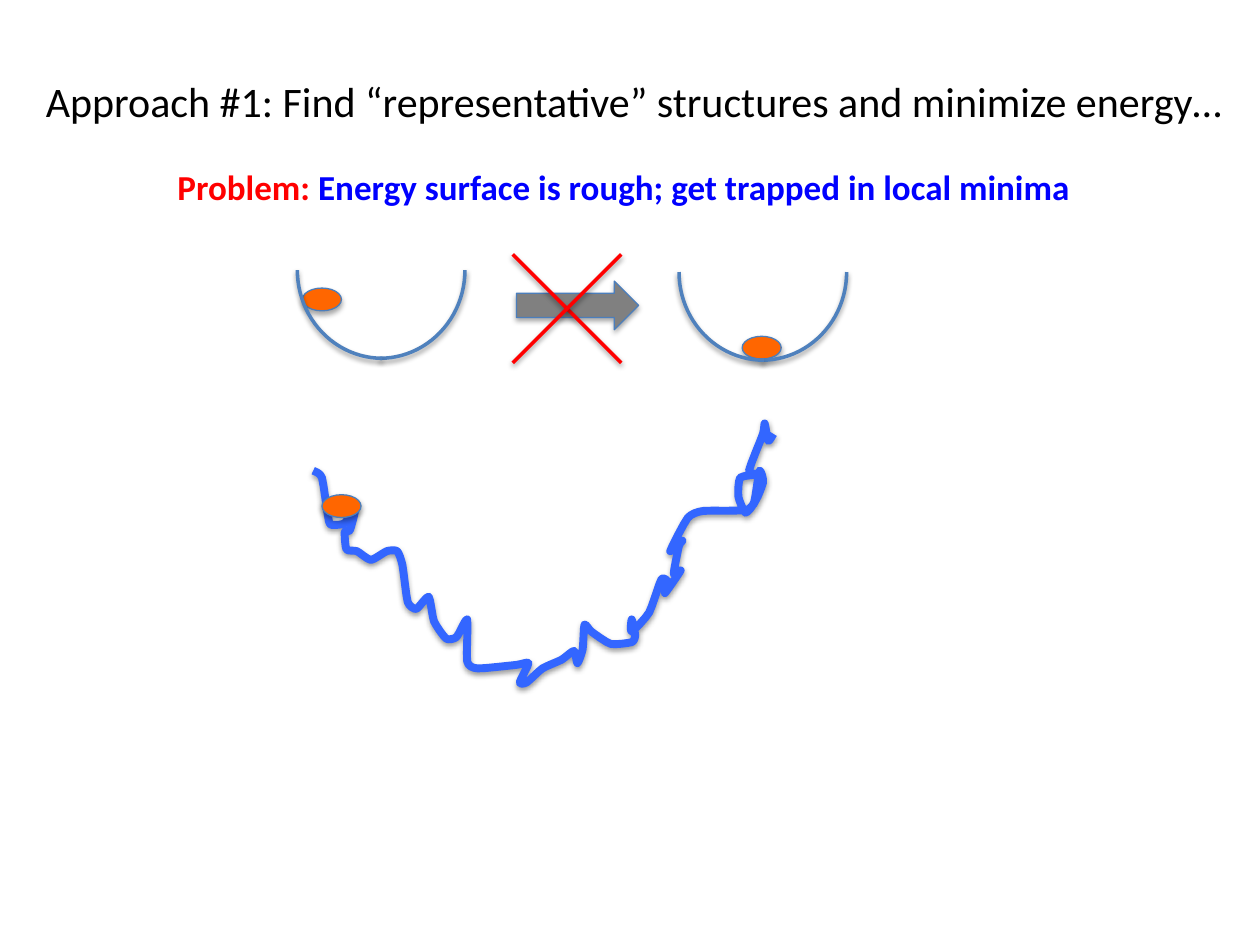
from itertools import chain
from lxml.etree import SubElement as Sub
from pptx import Presentation
from pptx.dml.color import RGBColor
from pptx.enum.shapes import MSO_CONNECTOR as Link, MSO_SHAPE as Kind
from pptx.enum.text import MSO_ANCHOR as Anchor, MSO_AUTO_SIZE as Fit, PP_ALIGN as Align
from pptx.oxml.ns import qn
from pptx.util import Pt

BLACK = RGBColor(0x00, 0x00, 0x00)
RED = RGBColor(0xFF, 0x00, 0x00)
BLUE = RGBColor(0x00, 0x00, 0xFF)
ORANGE = RGBColor(0xFF, 0x66, 0x00)
GRAY = RGBColor(0x80, 0x80, 0x80)
EDGE = RGBColor(0x4B, 0x7E, 0xBC)
CURVE = RGBColor(0x4F, 0x81, 0xBD)
ROUGH = RGBColor(0x33, 0x66, 0xFF)

FONT = "Calibri"
ARC_W, ARC_H, ARC_GAP = 97.2, 100.8, 1.4
BALL_W, BALL_H = 22.3, 13
STEPS = 4
TENSION = 0.3

TRAP = [(179, 269), (184, 273), (188, 298), (191, 300), (197, 299), (203, 291),
        (200, 303), (197, 304), (198, 314)]
DESCENT = [(204, 315), (212, 320), (221, 315), (227, 315), (230, 323), (233, 344),
           (238, 348), (245, 341), (248, 355), (255, 365), (261, 364), (267, 354)]
FLOOR = [(267, 378), (273, 382), (295, 380), (302, 379), (297, 390), (301, 390),
         (310, 382), (321, 377), (328, 372), (330, 379), (333, 371), (334, 357),
         (338, 361), (349, 368), (361, 367), (363, 363), (361, 354), (361, 361)]
CLIMB = [(371, 350), (378, 331), (382, 333), (380, 339), (389, 326), (385, 328),
         (388, 312), (390, 309), (383, 315), (393, 296), (402, 292)]
LOOP = [(428, 291), (436, 276), (434, 269), (431, 287), (426, 293), (422, 284),
        (423, 273), (433, 271)]
PEAK = [(428, 269), (436, 248), (437, 242), (439, 252), (442, 248)]


def shade(shape, alpha=38, dist=1.6):
    fx = Sub(shape.element.spPr, qn("a:effectLst"))
    cast = Sub(fx, qn("a:outerShdw"), blurRad=str(Pt(3.1)), dist=str(Pt(dist)),
               dir="5400000", rotWithShape="0")
    tint = Sub(cast, qn("a:srgbClr"), val=str(BLACK))
    Sub(tint, qn("a:alpha"), val=str(alpha * 1000))


def stroke(shape, color, width):
    shape.line.color.rgb = color
    shape.line.width = Pt(width)


def place(shape, left, top, width, height):
    shape.left, shape.top = Pt(left), Pt(top)
    shape.width, shape.height = Pt(width), Pt(height)


def write(shape, size, parts, bold=False):
    frame = shape.text_frame
    frame.word_wrap = False
    frame.auto_size = Fit.NONE
    frame.vertical_anchor = Anchor.TOP
    para = frame.paragraphs[0]
    para.alignment = Align.LEFT
    for text, color in parts:
        run = para.add_run()
        run.text = text
        run.font.name = FONT
        run.font.size = Pt(size)
        run.font.bold = bold
        run.font.color.rgb = color


def solid(slide, kind, fill, left, top, width, height):
    shape = slide.shapes.add_shape(kind, Pt(left), Pt(top), Pt(width), Pt(height))
    shape.fill.solid()
    shape.fill.fore_color.rgb = fill
    stroke(shape, EDGE, 0.75)
    shade(shape, 35, 1.8)


def ball(slide, left, top):
    solid(slide, Kind.OVAL, ORANGE, left, top, BALL_W, BALL_H)


def arc(slide, left, top, flips):
    shape = slide.shapes.add_shape(Kind.ARC, Pt(left), Pt(top), Pt(ARC_W), Pt(ARC_H))
    for flip in flips:
        shape.element.spPr.xfrm.set(flip, "1")
    shape.fill.background()
    stroke(shape, CURVE, 2)
    shade(shape)


def bowl(slide, left, top):
    arc(slide, left, top, ["flipV"])
    arc(slide, left + ARC_GAP, top, ["flipH", "flipV"])


def cross(slide, mid_x, mid_y, half):
    for side in (-half, half):
        ends = mid_x + side, mid_y - half, mid_x - side, mid_y + half
        line = slide.shapes.add_connector(Link.STRAIGHT, *map(Pt, ends))
        stroke(line, RED, 2)
        shade(line)


def blend(prev, start, end, after, t):
    out = TENSION * (end - prev)
    into = TENSION * (after - start)
    return ((2 * t**3 - 3 * t**2 + 1) * start + (t**3 - 2 * t**2 + t) * out
            + (3 * t**2 - 2 * t**3) * end + (t**3 - t**2) * into)


def smooth(knots):
    padded = [knots[0], *knots, knots[-1]]
    for four in zip(padded, padded[1:], padded[2:], padded[3:]):
        for step in range(1, STEPS + 1):
            yield tuple(Pt(blend(*axis, step / STEPS)) for axis in zip(*four))


def ridge(slide, *parts):
    knots = list(chain(*parts))
    pen = slide.shapes.build_freeform(*map(Pt, knots[0]))
    pen.add_line_segments(smooth(knots), close=False)
    shape = pen.convert_to_shape()
    shape.fill.background()
    stroke(shape, ROUGH, 4.5)
    Sub(shape.element.spPr.find(qn("a:ln")), qn("a:round"))
    shade(shape)


def main():
    deck = Presentation()
    deck.slide_width, deck.slide_height = Pt(720), Pt(540)
    slide = deck.slides.add_slide(deck.slide_layouts[5])

    title = slide.shapes.title
    place(title, 19, 39.6, 697, 36)
    write(title, 24, [
        ("Approach #1: Find “representative” structures and minimize energy…", BLACK)])
    note = slide.shapes.add_textbox(Pt(94.3), Pt(91), Pt(530.6), Pt(31.7))
    write(note, 20, [
        ("Problem: ", RED),
        ("Energy surface is rough; get trapped in local minima", BLUE)], True)

    ball(slide, 172.8, 164.6)
    ball(slide, 424.1, 192.2)
    solid(slide, Kind.RIGHT_ARROW, GRAY, 295.2, 160.6, 69.8, 27.8)
    bowl(slide, 168.5, 104)
    bowl(slide, 386.6, 105.1)
    cross(slide, 324, 176.4, 31)
    ridge(slide, TRAP, DESCENT, FLOOR, CLIMB, LOOP, PEAK)
    ball(slide, 184, 282.7)
    deck.save("out.pptx")


if __name__ == "__main__":
    main()
